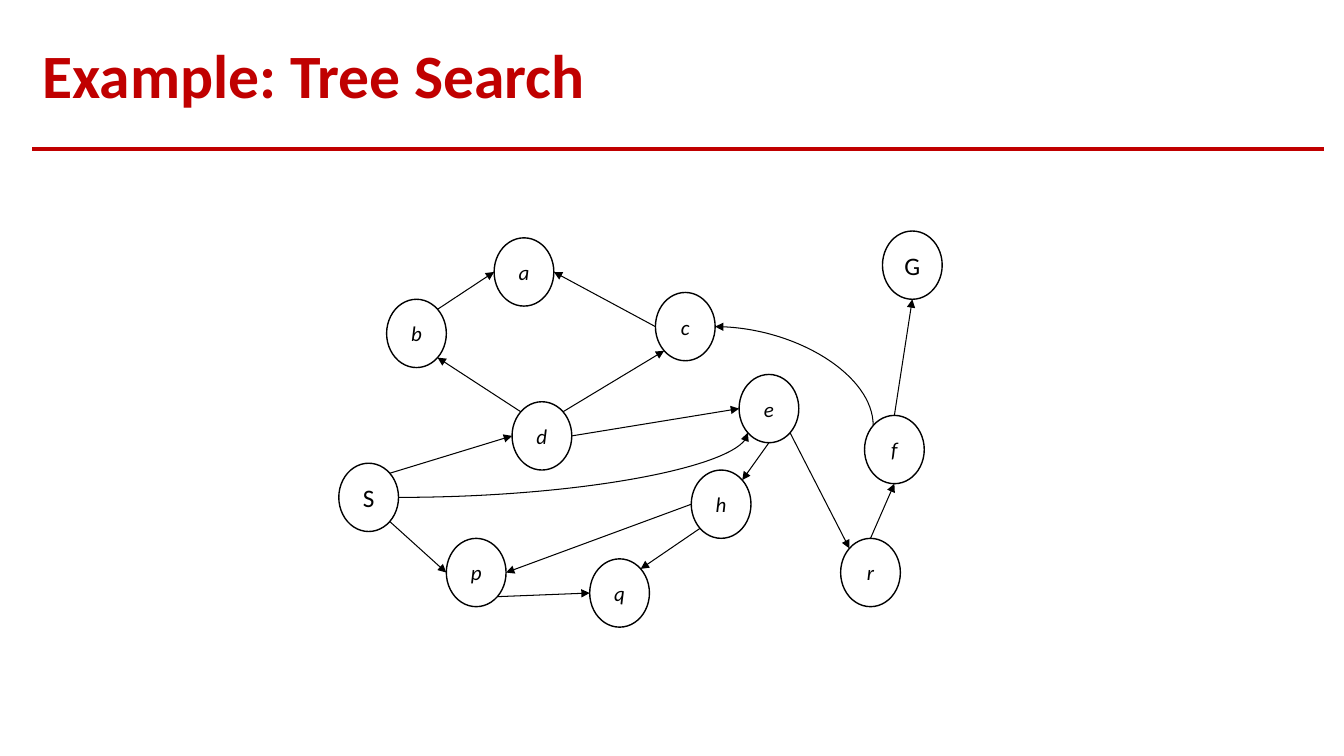
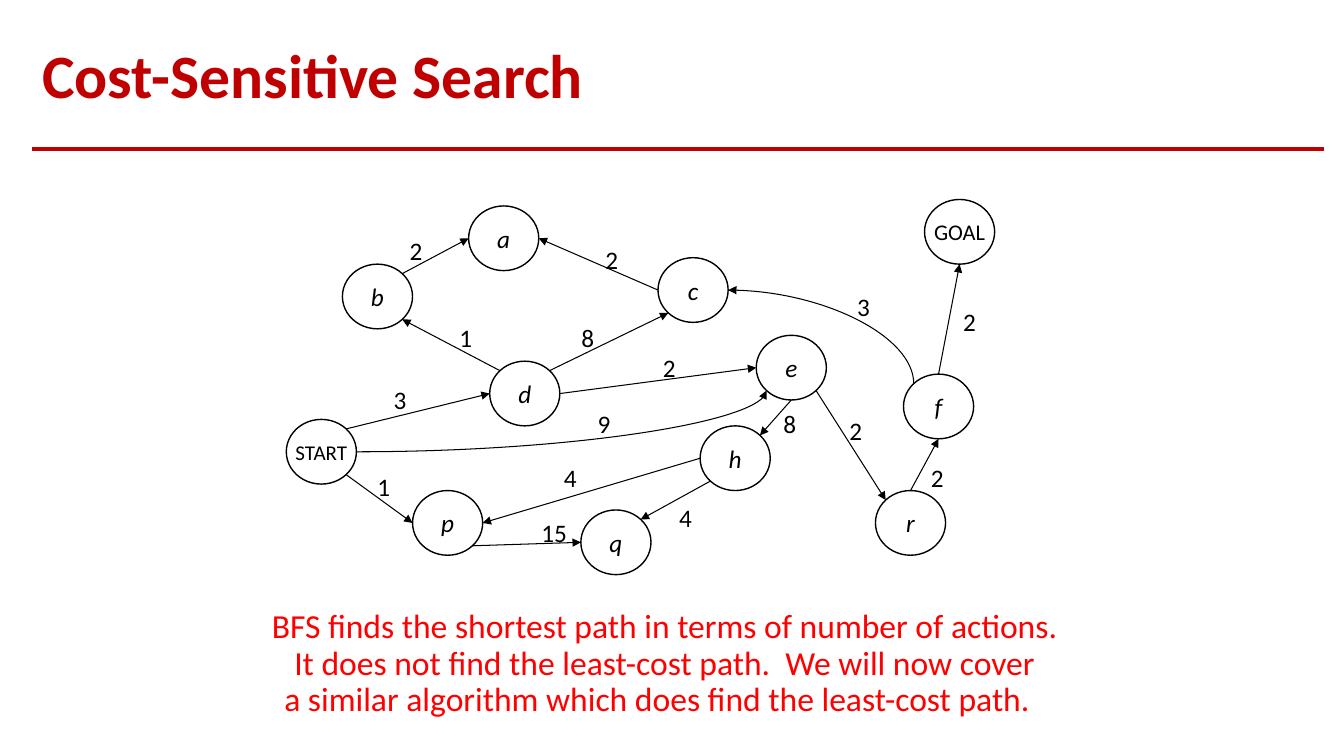
from math import cos, pi, sin

from lxml.etree import SubElement
from pptx import Presentation
from pptx.dml.color import RGBColor
from pptx.enum.shapes import MSO_CONNECTOR as Link, MSO_SHAPE as Form
from pptx.enum.text import MSO_ANCHOR as Anchor, MSO_AUTO_SIZE as Fit, PP_ALIGN as Align
from pptx.oxml.ns import qn
from pptx.util import Pt

BLACK = RGBColor(0x00, 0x00, 0x00)
CRIMSON = RGBColor(0xC0, 0x00, 0x00)
RED = RGBColor(0xFF, 0x00, 0x00)

TITLE = {"name": "Calibri", "size": Pt(44), "bold": True}
NOTE = {"name": "Calibri", "size": Pt(24)}
COST = {"name": "Calibri", "size": Pt(18)}

# The graph lies on a grid of COLS by ROWS units; each node is SPAN units wide and high.
COLS, ROWS, SPAN = 101, 58, 10
NODES = {
    "S": (0, 34), "G": (91, 0), "d": (29, 25), "b": (8, 10),
    "p": (18, 45), "q": (42, 48), "c": (53, 9), "e": (67, 21),
    "h": (59, 35), "a": (26, 1), "f": (88, 27), "r": (84, 45),
}
# From node, site, to node, site, cost, centre of the cost on the grid.
# Sites run counterclockwise from 0 at the top to 7 at the top right.
EDGES = [
    ("S", 5, "p", 2, 1, (13.9, 44)),
    ("p", 5, "q", 2, 15, (38.2, 51.2)),
    ("h", 3, "q", 7, 4, (56.9, 48.8)),
    ("h", 2, "p", 6, 4, (40.5, 42.7)),
    ("e", 4, "h", 7, 8, (71.8, 34.3)),
    ("e", 5, "r", 1, 2, (81.2, 35.4)),
    ("r", 0, "f", 4, 2, (92.8, 42.7)),
    ("f", 0, "G", 4, 2, (97.4, 18.6)),
    ("S", 7, "d", 2, 3, (16.2, 30.6)),
    ("d", 1, "b", 5, 1, (25.6, 21.1)),
    ("b", 7, "a", 2, 2, (18.5, 7.6)),
    ("c", 2, "a", 6, 2, (46.4, 8.9)),
    ("d", 7, "c", 3, 8, (43, 21.1)),
    ("d", 6, "e", 2, 2, (54.6, 25.7)),
    ("f", 1, "c", 6, 3, (82.3, 16.2)),
    ("S", 6, "e", 3, 9, (45.3, 34.3)),
]
CURVES = {"fc", "Se"}


def place(shape, left, top, width, height):
    box = {"left": left, "top": top, "width": width, "height": height}
    for name, value in box.items():
        setattr(shape, name, Pt(value))


def style(font, color, values):
    for name, value in values.items():
        setattr(font, name, value)
    font.color.rgb = color


def draw_line(slide, kind, start, end, color, weight):
    """Add a connector without a shadow between two points."""
    line = slide.shapes.add_connector(kind, *map(Pt, (*start, *end)))
    line.line.color.rgb = color
    line.line.width = Pt(weight)
    SubElement(line._element.spPr, qn("a:effectLst"))
    return line


def add_head(slide, text):
    """Set the title and the rule under it."""
    title = slide.shapes.title
    place(title, 23, 20, 923, 72)
    title.text_frame.text = text
    title.text_frame.vertical_anchor = Anchor.MIDDLE
    title.text_frame.auto_size = Fit.NONE
    para = title.text_frame.paragraphs[0]
    para.alignment, para.line_spacing = Align.LEFT, 0.9
    style(para.runs[0].font, CRIMSON, TITLE)
    draw_line(slide, Link.STRAIGHT, (23, 106.5), (946, 106.5), CRIMSON, 2.5)


def add_note(slide, box, lines):
    """Fill the body placeholder with centred lines without bullets."""
    body = slide.placeholders[1]
    place(body, *box)
    frame = body.text_frame
    frame.text = "\n".join(lines)
    frame.auto_size = Fit.NONE
    for para in frame.paragraphs:
        para.alignment, para.line_spacing, para.space_before = Align.CENTER, 0.9, Pt(0)
        props = para._p.get_or_add_pPr()
        props.set("marL", "0")
        props.set("indent", "0")
        SubElement(props, qn("a:buNone"))
        style(para.runs[0].font, RED, NOTE)


def add_node(slide, box, text, size, slant):
    node = slide.shapes.add_shape(Form.FLOWCHART_CONNECTOR, *map(Pt, box))
    node.shadow.inherit = False
    node.fill.background()
    node.line.color.rgb = BLACK
    node.line.width = Pt(1)
    frame = node.text_frame
    frame.text = text
    frame.word_wrap = False
    frame.vertical_anchor = Anchor.MIDDLE
    para = frame.paragraphs[0]
    para.alignment = Align.CENTER
    style(para.runs[0].font, BLACK, {"name": "Calibri", "size": Pt(size), "italic": slant})
    return node


def add_edge(slide, start, end, curved, ends):
    """Add an arrow; ends holds the node and the site at each end."""
    (x1, y1), (x2, y2) = start, end
    upright = curved and ends[0][1] == 1
    if upright:
        # A curve that leaves upwards is a sideways curve turned by 90 degrees.
        mid_x, mid_y = (x1 + x2) / 2, (y1 + y2) / 2
        half_x, half_y = (x1 - x2) / 2, (y1 - y2) / 2
        start = mid_x + half_y, mid_y - half_x
        end = mid_x - half_y, mid_y + half_x
    kind = Link.CURVE if curved else Link.STRAIGHT
    edge = draw_line(slide, kind, start, end, BLACK, 0.75)
    SubElement(edge.line._get_or_add_ln(), qn("a:tailEnd"), type="triangle")
    props = edge._element.spPr
    if curved:
        props.find(qn("a:prstGeom")).set("prst", "curvedConnector2")
    if upright:
        props.find(qn("a:xfrm")).set("rot", "5400000")
    joints = edge._element.nvCxnSpPr.cNvCxnSpPr
    for tag, (node, site) in zip(("a:stCxn", "a:endCxn"), ends):
        SubElement(joints, qn(tag), id=str(node.shape_id), idx=str(site))


def add_cost(slide, x, y, cost):
    """Write a cost centred on a point."""
    label = slide.shapes.add_textbox(Pt(x - 17), Pt(y - 13), Pt(34), Pt(26))
    frame = label.text_frame
    frame.text = str(cost)
    frame.word_wrap = True
    frame.margin_left = frame.margin_right = 0
    para = frame.paragraphs[0]
    para.alignment = Align.CENTER
    style(para.runs[0].font, BLACK, COST)


def add_graph(slide, box, size, ends, costs=False):
    """Draw the graph in a box; ends gives the text and size of S and G."""
    left, top, width, height = box
    unit_x, unit_y = width / COLS, height / ROWS

    def spot(col, row):
        return left + col * unit_x, top + row * unit_y

    def site_spot(name, site):
        col, row = NODES[name]
        half, turn = SPAN / 2, site * pi / 4
        return spot(col + half - half * sin(turn), row + half - half * cos(turn))

    nodes = {}
    for name, cell in NODES.items():
        text, points = ends.get(name, (name, size))
        area = (*spot(*cell), SPAN * unit_x, SPAN * unit_y)
        nodes[name] = add_node(slide, area, text, points, name not in ends)
    for tail, out, head, into, cost, cell in EDGES:
        joints = (nodes[tail], out), (nodes[head], into)
        add_edge(slide, site_spot(tail, out), site_spot(head, into),
                 tail + head in CURVES, joints)
        if costs:
            add_cost(slide, *spot(*cell), cost)


def main():
    deck = Presentation()
    deck.slide_width, deck.slide_height = Pt(960), Pt(540)
    text_page, title_page = deck.slide_layouts[1], deck.slide_layouts[5]

    tree = deck.slides.add_slide(title_page)
    add_head(tree, "Example: Tree Search")
    add_graph(tree, (242, 165, 431, 283), 15, {"S": ("S", 18), "G": ("G", 18)})

    cost = deck.slides.add_slide(text_page)
    add_head(cost, "Cost-Sensitive Search")
    add_note(cost, (39.5, 432, 870.5, 86), [
        "BFS finds the shortest path in terms of number of actions.",
        "It does not find the least-cost path.  We will now cover",
        "a similar algorithm which does find the least-cost path.  ",
    ])
    add_graph(cost, (204.5, 142.5, 506, 268), 18,
              {"S": ("START", 15), "G": ("GOAL", 16)}, costs=True)

    deck.save("out.pptx")


if __name__ == "__main__":
    main()
